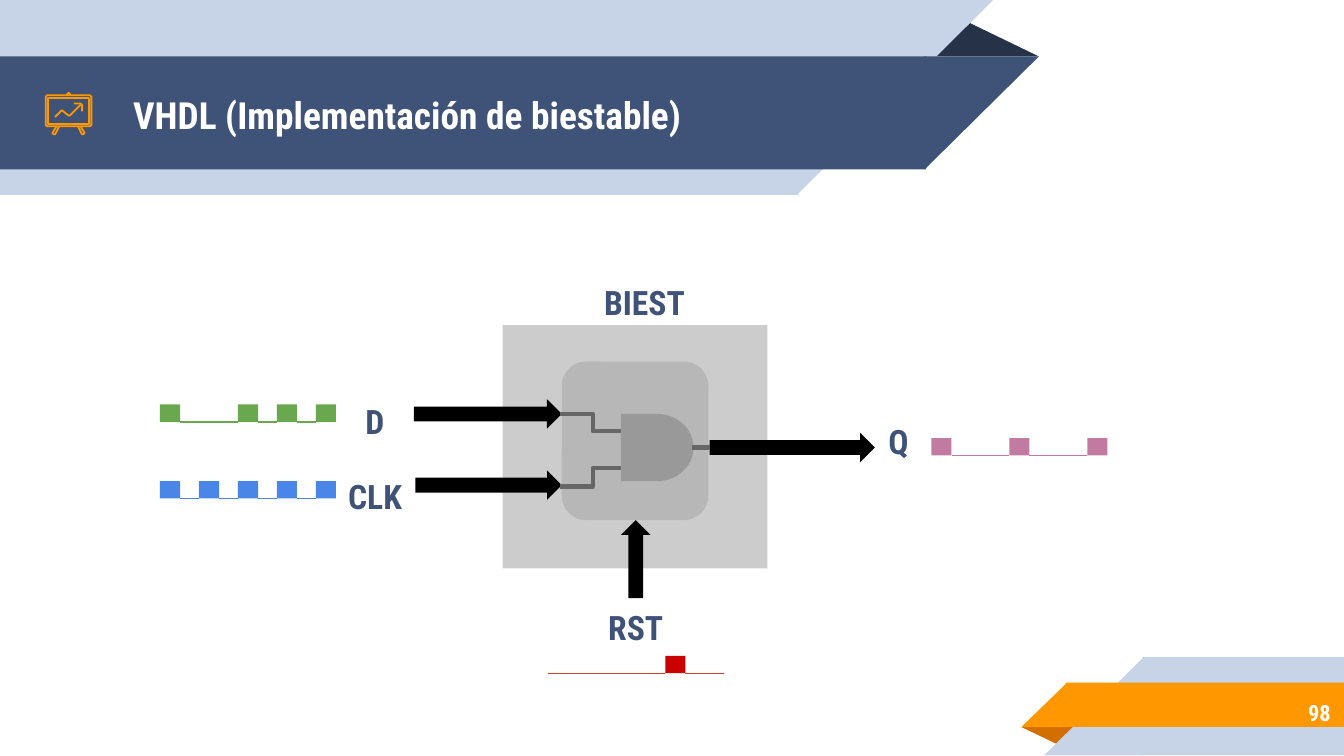
import pptx
import pptx.dml.color
import pptx.enum.shapes
import pptx.enum.text
import pptx.oxml.ns
import pptx.util
from lxml import etree
from pptx.util import Inches

COLORS = {
    "navy": "3F5378", "dark": "263248", "pale": "C7D3E6", "orange": "FF9800",
    "rust": "D26F00", "white": "FFFFFF", "black": "000000", "block": "CCCCCC",
    "chip": "B7B7B7", "gate": "999999", "wire": "666666", "green": "6AA84F",
    "blue": "4A86E8", "mauve": "C27BA0", "red": "CC0000", "brick": "CC4125",
}
RGB = {name: pptx.dml.color.RGBColor.from_string(code) for name, code in COLORS.items()}
FONT = "Roboto Condensed"
SHAPE = pptx.enum.shapes.MSO_SHAPE
CONNECTOR = pptx.enum.shapes.MSO_CONNECTOR
ALIGN = pptx.enum.text.PP_ALIGN

presentation = pptx.Presentation()
presentation.slide_width = Inches(10)
presentation.slide_height = Inches(10) * 9 // 16
slide = presentation.slides.add_slide(presentation.slide_layouts[5])
shapes = slide.shapes


def add_block(kind, left, top, width, height, color, rotation=0, flipped=False):
    """Add a filled preset shape without outline or shadow."""
    shape = shapes.add_shape(kind, Inches(left), Inches(top), Inches(width), Inches(height))
    shape.shadow.inherit = False
    shape.fill.solid()
    shape.fill.fore_color.rgb = RGB[color]
    shape.line.fill.background()
    shape.rotation = rotation
    if flipped:
        shape._element.spPr.xfrm.set("flipH", "1")
    return shape


def add_wire(kind, start, end, color, width):
    connector = shapes.add_connector(kind, *[Inches(value) for value in start + end])
    connector.line.color.rgb = RGB[color]
    connector.line.width = pptx.util.Pt(width)
    etree.SubElement(connector._element.spPr, pptx.oxml.ns.qn("a:effectLst"))


# Header and footer ribbons: each band is a rectangle with a slanted end,
# overlapping slightly so that no seam shows
OVERLAP = 0.01
add_block(SHAPE.ISOSCELES_TRIANGLE, 6.88, 0.14, 0.85, 0.28, "dark").adjustments[0] = 0.32
for top, length, height, color in [(0, 5.94, 1.45, "pale"), (0.42, 6.89, 0.84, "navy")]:
    add_block(SHAPE.RECTANGLE, 0, top, length, height, color, 180, True)
    add_block(SHAPE.RIGHT_TRIANGLE, length - OVERLAP, top, height + OVERLAP, height,
              color, 180, True)
add_block(SHAPE.ISOSCELES_TRIANGLE, 7.6, 5.41, 0.43, 0.14, "rust", 180).adjustments[0] = 0.32
for left, top, height, color in [(8.5, 4.89, 0.73, "pale"), (7.93, 5.08, 0.33, "orange")]:
    add_block(SHAPE.RECTANGLE, left, top, 10 - left, height, color, 0, True)
    add_block(SHAPE.RIGHT_TRIANGLE, left - height, top, height + OVERLAP, height,
              color, 0, True)

# Presentation board icon
icon_outlines = [
    (True, [(0.35, 0.71), (0.67, 0.71), (0.68, 0.72), (0.68, 0.93),
            (0.67, 0.94), (0.35, 0.94), (0.34, 0.93), (0.34, 0.72)]),
    (False, [(0.5, 0.71), (0.5, 0.7), (0.51, 0.69), (0.52, 0.7), (0.52, 0.71)]),
    (False, [(0.42, 0.94), (0.39, 0.99), (0.4, 1), (0.41, 1), (0.44, 0.94)]),
    (False, [(0.58, 0.94), (0.61, 1), (0.62, 1), (0.63, 0.99), (0.6, 0.94)]),
    (True, [(0.36, 0.73), (0.36, 0.92), (0.66, 0.92), (0.66, 0.73)]),
    (False, [(0.6, 0.78), (0.52, 0.86), (0.51, 0.86), (0.46, 0.82), (0.41, 0.87)]),
    (False, [(0.55, 0.77), (0.6, 0.77), (0.61, 0.78), (0.61, 0.83)]),
]
for closed, points in icon_outlines:
    corners = [(Inches(x), Inches(y)) for x, y in points]
    builder = shapes.build_freeform(*corners[0])
    builder.add_line_segments(corners[1:], close=closed)
    outline = builder.convert_to_shape()
    outline.shadow.inherit = False
    outline.fill.background()
    outline.line.color.rgb = RGB["orange"]
    outline.line.width = pptx.util.Pt(0.96)

# Flip-flop block with its input and output arrows
add_block(SHAPE.RECTANGLE, 3.74, 2.42, 1.97, 1.81, "block")
for left, top, length, rotation in [
    (4.44, 4.05, 0.58, 270), (5.28, 3.22, 1.23, 0), (3.09, 3.5, 1.09, 0), (3.08, 2.97, 1.1, 0),
]:
    add_block(SHAPE.RIGHT_ARROW, left, top, length, 0.22, "black", rotation)
add_block(SHAPE.ROUNDED_RECTANGLE, 4.18, 2.69, 1.09, 1.18, "chip")
add_wire(CONNECTOR.ELBOW, (4.65, 3.21), (4.17, 3.08), "wire", 2.25)
add_wire(CONNECTOR.ELBOW, (4.65, 3.48), (4.17, 3.62), "wire", 2.25)
add_block(SHAPE.FLOWCHART_DELAY, 4.62, 3.08, 0.54, 0.5, "gate")
add_wire(CONNECTOR.STRAIGHT, (5.15, 3.33), (5.28, 3.33), "wire", 2.25)

# Waveforms: one slot per bit, a pulse for each 1 and a low line elsewhere
PITCH, PULSE_WIDTH, PULSE_HEIGHT = 0.29, 0.15, 0.13
for left, top, bits, pulse_color, line_color in [
    (1.19, 3.01, "10111", "green", "green"),
    (1.19, 3.58, "11111", "blue", "blue"),
    (6.93, 3.26, "10101", "mauve", "mauve"),
    (4.08, 4.88, "00010", "red", "brick"),
]:
    base = top + PULSE_HEIGHT
    pulses = [left + slot * PITCH for slot, bit in enumerate(bits) if bit == "1"]
    for pulse in pulses:
        add_block(SHAPE.RECTANGLE, pulse, top, PULSE_WIDTH, PULSE_HEIGHT, pulse_color)
    low_starts = [left] + [pulse + PULSE_WIDTH for pulse in pulses]
    low_ends = pulses + [left + (len(bits) - 1) * PITCH + PULSE_WIDTH]
    for start, end in zip(low_starts, low_ends):
        if end - start > 0.01:
            add_wire(CONNECTOR.STRAIGHT, (start, base), (end, base), line_color, 0.75)

# Title, page number and signal names
title = shapes.title
shapes._spTree.append(title._element)  # bring in front of the ribbon
for text, left, top, width, height, size, color, alignment in [
    ("VHDL (Implementación de biestable)", 0.89, 0.43, 5.75, 0.84, 20, "white", ALIGN.LEFT),
    ("98", 8.37, 5.13, 1.63, 0.35, 12, "white", ALIGN.RIGHT),
    ("BIEST", 4.09, 2.07, 1.41, 0.35, 18, "navy", ALIGN.CENTER),
    ("Q", 6.51, 3.06, 0.35, 0.45, 18, "navy", ALIGN.CENTER),
    ("RST", 4.34, 4.51, 0.78, 0.31, 18, "navy", ALIGN.CENTER),
    ("CLK", 2.47, 3.44, 0.64, 0.5, 18, "navy", ALIGN.CENTER),
    ("D", 2.54, 2.91, 0.5, 0.45, 18, "navy", ALIGN.CENTER),
]:
    box = title if size == 20 else shapes.add_textbox(0, 0, 0, 0)
    box.left, box.top = Inches(left), Inches(top)
    box.width, box.height = Inches(width), Inches(height)
    frame = box.text_frame
    frame.word_wrap = True
    frame.auto_size = pptx.enum.text.MSO_AUTO_SIZE.NONE
    frame.vertical_anchor = pptx.enum.text.MSO_ANCHOR.MIDDLE
    frame.margin_left = frame.margin_right = Inches(0.1)
    frame.margin_top = frame.margin_bottom = Inches(0.1)
    paragraph = frame.paragraphs[0]
    paragraph.alignment = alignment
    run = paragraph.add_run()
    run.text = text
    run.font.name = FONT
    run.font.size = pptx.util.Pt(size)
    run.font.bold = True
    run.font.color.rgb = RGB[color]

presentation.save("out.pptx")
